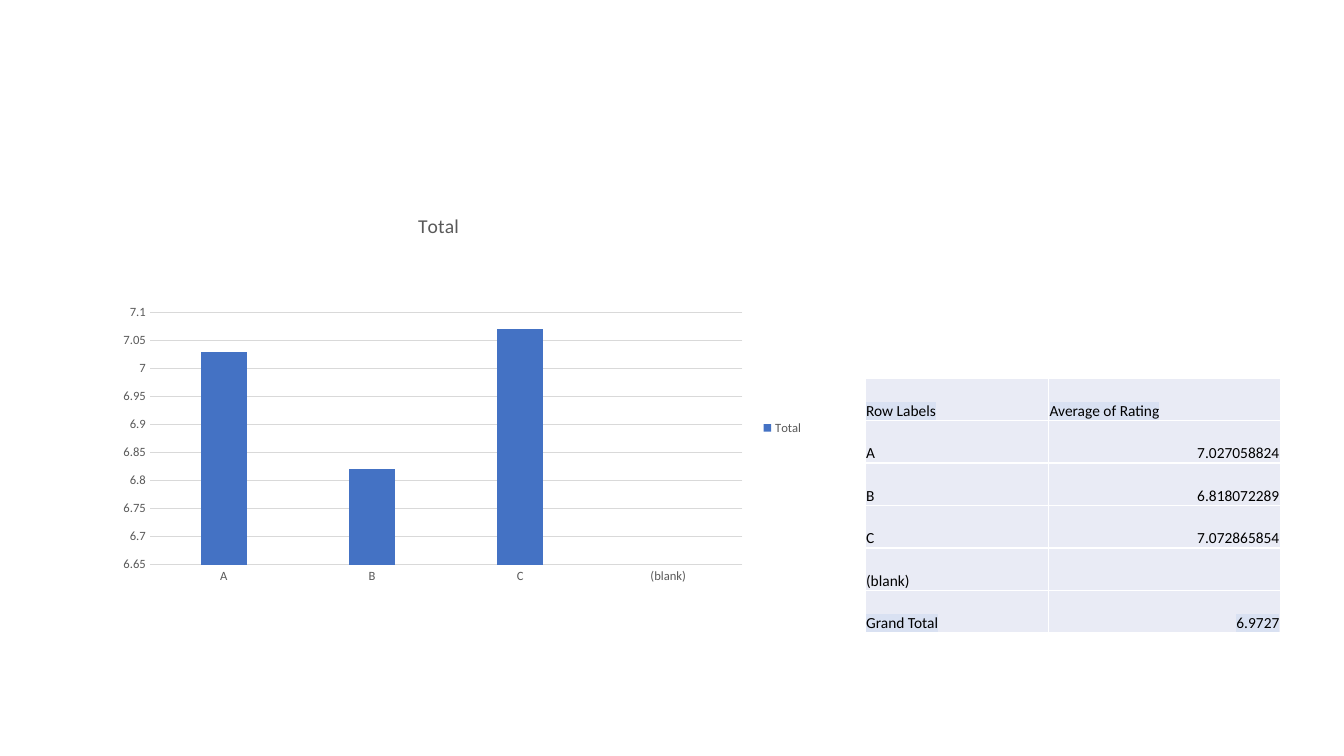
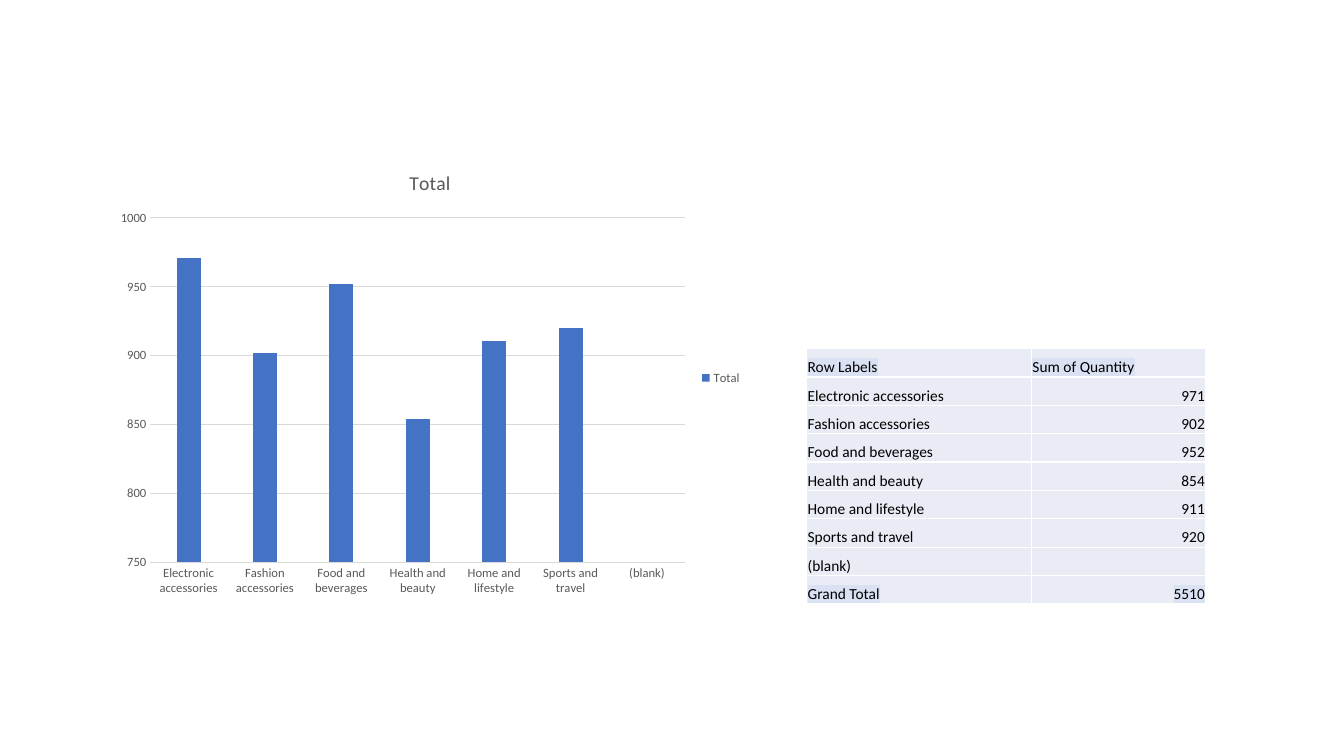
from lxml import etree
from pptx import Presentation
from pptx.chart.data import CategoryChartData
from pptx.dml.color import RGBColor
from pptx.enum.chart import XL_CHART_TYPE, XL_LEGEND_POSITION, XL_TICK_MARK
from pptx.enum.text import MSO_ANCHOR, PP_ALIGN
from pptx.oxml.ns import qn
from pptx.util import Pt

COLUMNS = XL_CHART_TYPE.COLUMN_CLUSTERED
LEGEND_RIGHT = XL_LEGEND_POSITION.RIGHT
NO_TICK = XL_TICK_MARK.NONE
BOTTOM = MSO_ANCHOR.BOTTOM
LEFT, RIGHT = PP_ALIGN.LEFT, PP_ALIGN.RIGHT

BLACK = RGBColor(0x00, 0x00, 0x00)
WHITE = RGBColor(0xFF, 0xFF, 0xFF)
GREY = RGBColor(0x59, 0x59, 0x59)
LIGHT_GREY = RGBColor(0xD9, 0xD9, 0xD9)
BLUE = RGBColor(0x44, 0x72, 0xC4)
CELL_FILL = RGBColor(0xE9, 0xEB, 0xF5)
HIGHLIGHT = RGBColor(0xD9, 0xE1, 0xF2)
FONT = "Calibri"
EMU_PER_PX = 9144
SLIDE_W, SLIDE_H = 1333, 750

RATINGS = [
    ("A", "7.027058824"),
    ("B", "6.818072289"),
    ("C", "7.072865854"),
    ("(blank)", ""),
]
QUANTITIES = [
    ("Electronic accessories", "971"),
    ("Fashion accessories", "902"),
    ("Food and beverages", "952"),
    ("Health and beauty", "854"),
    ("Home and lifestyle", "911"),
    ("Sports and travel", "920"),
    ("(blank)", ""),
]


def px(*lengths):
    return [length * EMU_PER_PX for length in lengths]


def set_font(font, size, color):
    font.name, font.size, font.bold = FONT, Pt(size), False
    font.color.rgb = color


def write(tf, text, size=11, color=BLACK, align=LEFT, highlight=None):
    p = tf.paragraphs[0]
    p.alignment = align
    if not text:
        # Keeps an empty cell from growing to the default text size.
        etree.SubElement(p._p, qn("a:endParaRPr"), sz=str(size * 100))
        return
    r = p.add_run()
    r.text = text
    set_font(r.font, size, color)
    if highlight is not None:
        mark = etree.Element(qn("a:highlight"))
        etree.SubElement(mark, qn("a:srgbClr"), val=str(highlight))
        r._r.rPr.find(qn("a:solidFill")).addnext(mark)


def add_borders(cell, color, width):
    tc_pr = cell._tc.get_or_add_tcPr()
    for side in ("lnL", "lnR", "lnT", "lnB"):
        line = etree.SubElement(tc_pr, qn(f"a:{side}"), w=str(Pt(width)))
        fill = etree.SubElement(line, qn("a:solidFill"))
        etree.SubElement(fill, qn("a:srgbClr"), val=str(color))


def set_plot_layout(chart, x, y, w, h):
    """Fix the inner plot area, in fractions of the chart."""
    plot_area = chart._chartSpace.chart.plotArea
    for old in plot_area.findall(qn("c:layout")):
        plot_area.remove(old)
    layout = etree.Element(qn("c:layout"))
    plot_area.insert(0, layout)
    manual = etree.SubElement(layout, qn("c:manualLayout"))
    settings = [("layoutTarget", "inner"), ("xMode", "edge"),
                ("yMode", "edge"), ("x", x), ("y", y), ("w", w), ("h", h)]
    for tag, val in settings:
        etree.SubElement(manual, qn(f"c:{tag}"), val=str(val))


def add_column_chart(s, box, rows, scale, plot_box=None):
    data = CategoryChartData()
    data.categories = [label for label, _ in rows]
    data.add_series("Total", [round(float(value), 2) if value else None
                              for _, value in rows])
    chart = s.shapes.add_chart(COLUMNS, *px(*box), data).chart
    set_font(chart.font, 10, BLACK)

    chart.has_title = True
    write(chart.chart_title.text_frame, "Total", size=14, color=GREY)
    chart.chart_title.include_in_layout = False
    chart.has_legend = True
    chart.legend.position = LEGEND_RIGHT
    chart.legend.include_in_layout = False
    set_font(chart.legend.font, 9, GREY)

    plot = chart.plots[0]
    plot.gap_width, plot.overlap, plot.vary_by_categories = 219, -27, False
    fill = plot.series[0].format.fill
    fill.solid()
    fill.fore_color.rgb = BLUE

    category, value = chart.category_axis, chart.value_axis
    for axis in (category, value):
        axis.major_tick_mark = axis.minor_tick_mark = NO_TICK
        set_font(axis.tick_labels.font, 9, GREY)
    value.minimum_scale, value.maximum_scale, value.major_unit = scale
    value.tick_labels.number_format = "General"
    value.tick_labels.number_format_is_linked = False
    value.format.line.fill.background()
    for line in (category.format.line, value.major_gridlines.format.line):
        line.color.rgb = LIGHT_GREY
        line.width = Pt(0.75)
    if plot_box:
        set_plot_layout(chart, *plot_box)


def add_pivot_table(s, box, col_widths, rows):
    """The first and last rows are highlighted; numbers align right."""
    frame = s.shapes.add_table(len(rows), len(col_widths), *px(*box))
    table = frame.table
    table.first_row = table.horz_banding = False
    for column, width in zip(table.columns, px(*col_widths)):
        column.width = width
    last = len(rows) - 1
    for i, row in enumerate(rows):
        for j, text in enumerate(row):
            cell = table.cell(i, j)
            side, bottom = px(1, 0)
            cell.margin_left = cell.margin_right = cell.margin_top = side
            cell.margin_bottom = bottom
            cell.vertical_anchor = BOTTOM
            add_borders(cell, WHITE, 1)
            cell.fill.solid()
            cell.fill.fore_color.rgb = CELL_FILL
            write(cell.text_frame, text,
                  align=RIGHT if i and j else LEFT,
                  highlight=HIGHLIGHT if i in (0, last) else None)


def add_pivot_slide(prs, rows, measure, total, chart_box, scale,
                    table_box, col_widths, plot_box=None):
    s = prs.slides.add_slide(prs.slide_layouts[6])
    add_column_chart(s, chart_box, rows, scale, plot_box)
    add_pivot_table(s, table_box, col_widths,
                    [("Row Labels", measure), *rows, ("Grand Total", total)])


def main():
    prs = Presentation()
    prs.slide_width, prs.slide_height = px(SLIDE_W, SLIDE_H)
    add_pivot_slide(prs, RATINGS, "Average of Rating", "6.9727",
                    chart_box=(63, 192, 744, 465), scale=(6.65, 7.1, 0.05),
                    table_box=(858, 375, 412, 253), col_widths=(182, 230),
                    plot_box=(0.115, 0.254, 0.79, 0.538))
    add_pivot_slide(prs, QUANTITIES, "Sum of Quantity", "5510",
                    chart_box=(107, 150, 639, 450), scale=(750, 1000, 50),
                    table_box=(800, 346, 396, 253), col_widths=(223, 173))
    prs.save("out.pptx")


if __name__ == "__main__":
    main()
